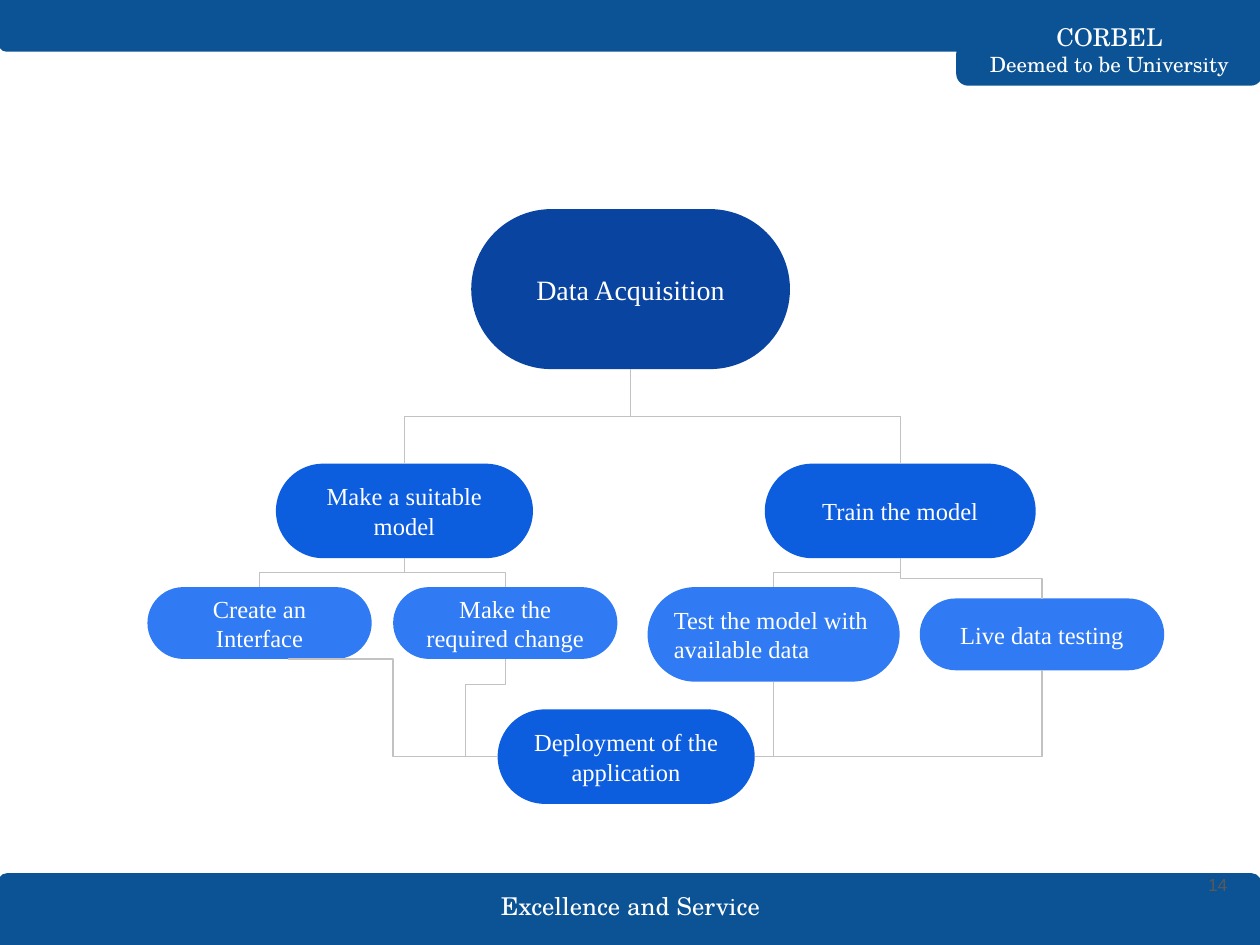
"""Build a flow chart slide that leads from data acquisition to deployment."""
from lxml import etree
from pptx import Presentation
from pptx.dml.color import RGBColor
from pptx.enum.shapes import MSO_CONNECTOR, MSO_SHAPE
from pptx.enum.text import MSO_ANCHOR, PP_ALIGN
from pptx.oxml.ns import qn
from pptx.util import Inches, Pt

PILL = MSO_SHAPE.ROUNDED_RECTANGLE
BAR = MSO_SHAPE.ROUND_2_SAME_RECTANGLE
ELBOW = MSO_CONNECTOR.ELBOW
MID = MSO_ANCHOR.MIDDLE
LEFT, CENTER, RIGHT = PP_ALIGN.LEFT, PP_ALIGN.CENTER, PP_ALIGN.RIGHT
SCHOLA, TIMES, ARIAL = "TeX Gyre Schola", "Times New Roman", "Arial"

COLORS = {
    "bar": "0B5394", "root": "0944A1", "stage": "0D5DDF", "task": "307BF3",
    "line": "C2C2C2", "white": "FFFFFF", "gray": "595959",
}

BARS = [
    ((-0.01, 6.94, 10.01, 0.56), (0.125, 0)),
    ((7.6, 0, 2.41, 0.67), (0, 0.125)),
    ((0, 0, 10.01, 0.4), (0, 0.125)),
]
LABELS = [
    ((3.66, 7.03, 2.69, 0.32), [("Excellence and Service", 14)], {}),
    ((7.6, 0.27, 2.41, 0.25), [("CORBEL", 14), ("Deemed to be University", 12)], {}),
    ((9.24, 6.87, 0.6, 0.3), [("14", 10)],
     {"font": ARIAL, "color": "gray", "align": RIGHT}),
]
NODES = {
    "root": ("Data Acquisition", "root", (3.74, 1.66, 2.53, 1.27)),
    "train": ("Train the model", "stage", (6.07, 3.68, 2.15, 0.75)),
    "make": ("Make a suitable model", "stage", (2.19, 3.68, 2.04, 0.75)),
    "face": ("Create an Interface", "task", (1.17, 4.66, 1.78, 0.57)),
    "change": ("Make the required change", "task", (3.12, 4.66, 1.78, 0.57)),
    "test": ("Test the model with available data", "task", (5.14, 4.66, 2, 0.75)),
    "live": ("Live data testing", "task", (7.3, 4.75, 1.94, 0.57)),
    "deploy": ("Deployment of the application", "stage", (3.95, 5.63, 2.04, 0.75)),
}
TREE = [("root", "train"), ("root", "make"), ("make", "face"),
        ("make", "change"), ("train", "test"), ("train", "live")]
JOINS = [
    ("face", "left", 0.23, "bentConnector3", ()),
    ("change", "left", 0, "bentConnector4", (-4.22, 0.74)),
    ("test", "right", 0, "bentConnector2", ()),
    ("live", "right", 0, "bentConnector2", ()),
]


def rgb(name):
    return RGBColor.from_string(COLORS[name])


def write(shape, lines, font=SCHOLA, color="white", align=CENTER):
    frame = shape.text_frame
    frame.word_wrap = True
    frame.vertical_anchor = MID
    frame.margin_left = frame.margin_right = Inches(0.1)
    frame.margin_top = frame.margin_bottom = Inches(0.1)
    for i, (text, size) in enumerate(lines):
        para = frame.add_paragraph() if i else frame.paragraphs[0]
        para.alignment = align
        run = para.add_run()
        run.text = text
        run.font.name, run.font.size = font, Pt(size)
        run.font.color.rgb = rgb(color)


def block(slide, kind, box, fill, rounds):
    shape = slide.shapes.add_shape(kind, *map(Inches, box))
    shape.shadow.inherit = False
    for i, value in enumerate(rounds):
        shape.adjustments[i] = value
    shape.fill.solid()
    shape.fill.fore_color.rgb = rgb(fill)
    shape.line.fill.background()
    return shape


def site(name, side):
    x, y, w, h = NODES[name][2]
    return {"top": (x + w / 2, y), "bottom": (x + w / 2, y + h),
            "left": (x, y + h / 2), "right": (x + w, y + h / 2)}[side]


def link(slide, start, end, kind="bentConnector3", bends=()):
    line = slide.shapes.add_connector(ELBOW, *map(Inches, (*start, *end)))
    line.line.color.rgb = rgb("line")
    line.line.width = Pt(0.75)
    props = line._element.spPr
    etree.SubElement(props, qn("a:effectLst"))
    geom = props.find(qn("a:prstGeom"))
    geom.set("prst", kind)
    for i, bend in enumerate(bends, 1):
        etree.SubElement(geom.find(qn("a:avLst")), qn("a:gd"),
                         name=f"adj{i}", fmla=f"val {round(bend * 100000)}")
    return line


def drop(slide, start, end):
    (x1, y1), (x2, y2) = start, end
    wide, tall = abs(x2 - x1), y2 - y1
    left = (x1 + x2 - tall) / 2
    top = (y1 + y2 - wide) / 2
    line = link(slide, (left, top), (left + tall, top + wide))
    form = line._element.spPr.find(qn("a:xfrm"))
    form.set("rot", "16200000" if x2 > x1 else "5400000")
    form.set("flipH", "1" if x2 > x1 else "0")


def main():
    deck = Presentation()
    deck.slide_width, deck.slide_height = Inches(10), Inches(7.5)
    slide = deck.slides.add_slide(deck.slide_layouts[6])
    for box, rounds in BARS:
        bar = block(slide, BAR, box, "bar", rounds)
        bar.line.color.rgb = rgb("bar")
        bar.line.width = Pt(1.5)
    for box, lines, style in LABELS:
        write(slide.shapes.add_textbox(*map(Inches, box)), lines, **style)
    for name, (text, fill, box) in NODES.items():
        pill = block(slide, PILL, box, fill, (0.5,))
        write(pill, [(text, 16 if name == "root" else 14)], font=TIMES,
              align=LEFT if name == "test" else CENTER)
    for parent, child in TREE:
        drop(slide, site(parent, "bottom"), site(child, "top"))
    for name, side, shift, kind, bends in JOINS:
        x, y = site(name, "bottom")
        link(slide, site("deploy", side), (x + shift, y), kind, bends)
    deck.save("out.pptx")


if __name__ == "__main__":
    main()
